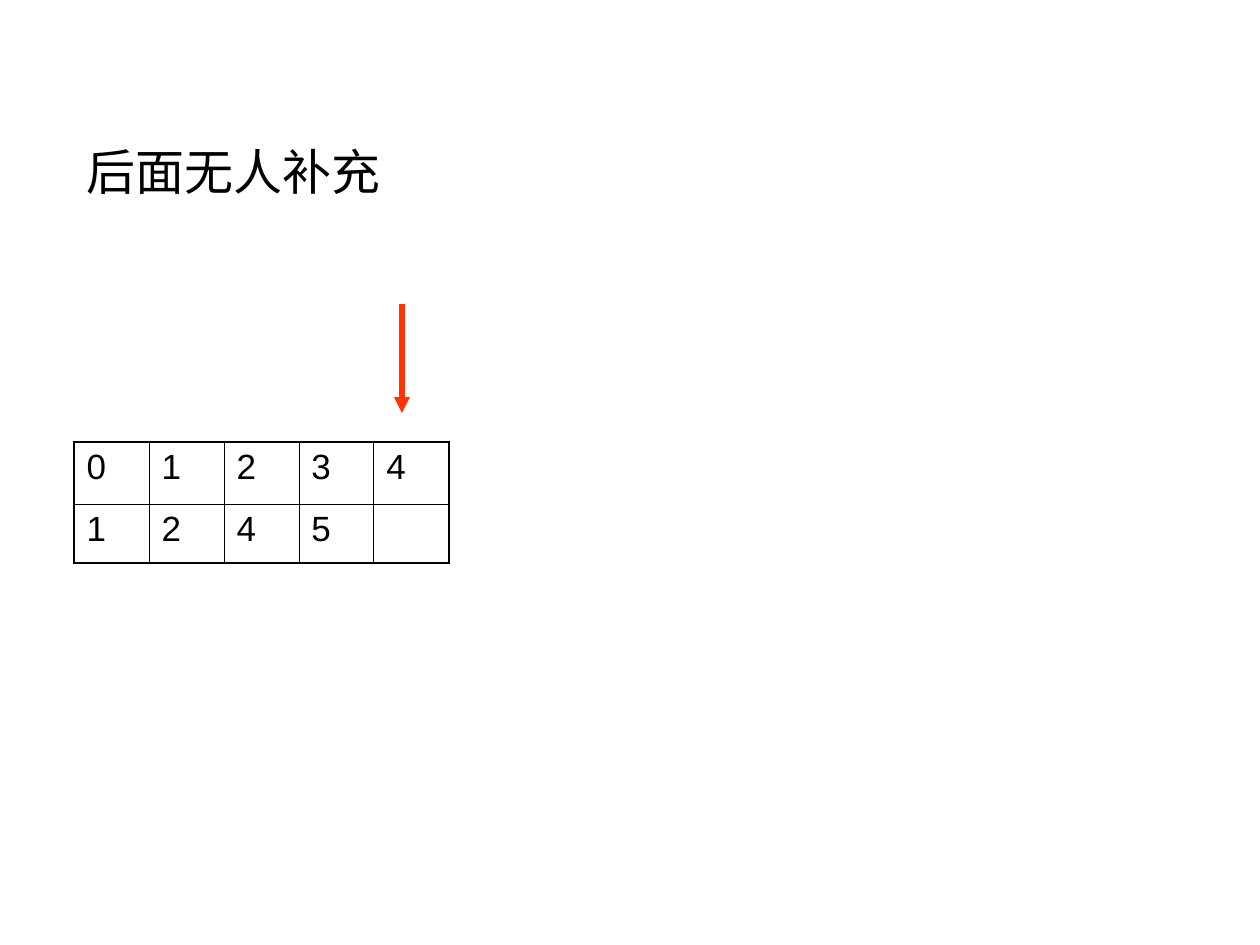
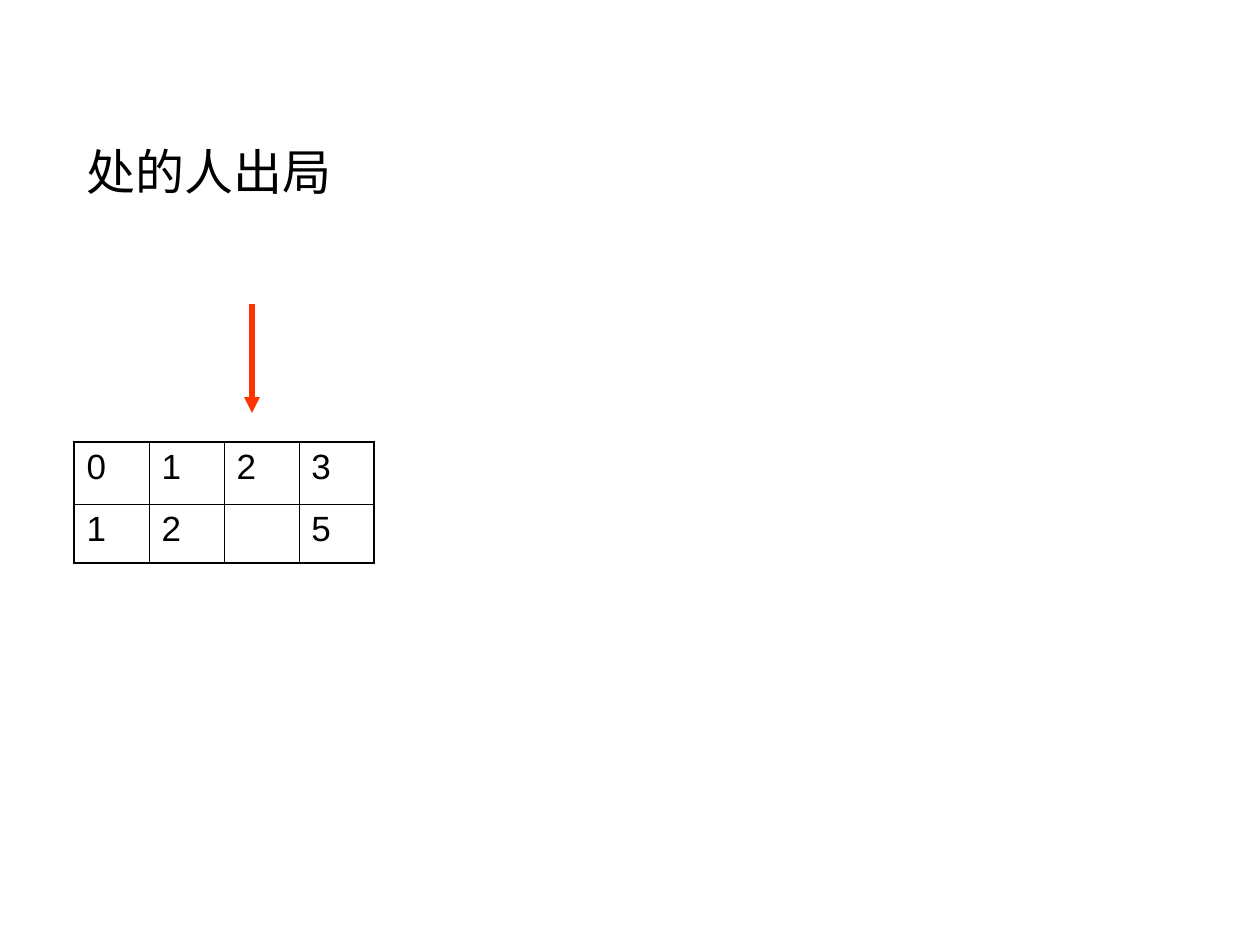
"""Two slides that show how an array changes when a person leaves the circle."""
from lxml.etree import SubElement
from pptx import Presentation
from pptx.dml.color import RGBColor
from pptx.enum.shapes import MSO_CONNECTOR
from pptx.enum.text import MSO_ANCHOR, PP_ALIGN
from pptx.oxml.ns import qn
from pptx.util import Emu, Pt

STEPS = [
    {"title": "后面无人补充", "people": ["1", "2", "4", "5", ""], "mark": 4},
    {"title": "处的人出局", "people": ["1", "2", "", "5"], "mark": 2},
]

BLACK = RGBColor(0x00, 0x00, 0x00)
RED = RGBColor(0xFF, 0x33, 0x00)
FONT = "Arial"
THIN, THICK = Pt(0.45), Pt(1.08)

LEFT = 74
TITLE = (LEFT, 96, 1071, 149)
GRID_TOP, COL = 442, 75
ROWS = (62, 59)
ARROW_TOP, ARROW_END, ARROW_IN = 304, 413, 28


def px(n):
    return Emu(n * 914400 // 126)


def write(frame, text, size=20, color=BLACK, align=PP_ALIGN.LEFT):
    para = frame.paragraphs[0]
    para.alignment = align
    font = para.font
    font.name, font.size = FONT, Pt(size)
    font.color.rgb = color
    if text:
        para.add_run().text = text


def add_title(slide, text):
    title = slide.shapes.title
    title.left, title.top, title.width, title.height = map(px, TITLE)
    frame = title.text_frame
    frame.word_wrap = True
    frame.vertical_anchor = MSO_ANCHOR.MIDDLE
    write(frame, text, size=28)


def add_edges(cell, **edges):
    props = cell._tc.get_or_add_tcPr()
    for side, width in edges.items():
        line = SubElement(props, qn(f"a:ln{side}"), w=str(width))
        fill = SubElement(line, qn("a:solidFill"))
        SubElement(fill, qn("a:srgbClr"), val=str(BLACK))


def add_grid(slide, people):
    count = len(people)
    rows = [[str(i) for i in range(count)], people]
    frame = slide.shapes.add_table(
        len(rows), count, px(LEFT), px(GRID_TOP), px(COL * count), px(sum(ROWS)))
    table = frame.table
    table.first_row = table.horz_banding = False
    for col in table.columns:
        col.width = px(COL)
    for r, row in enumerate(rows):
        table.rows[r].height = px(ROWS[r])
        for c, text in enumerate(row):
            cell = table.cell(r, c)
            add_edges(
                cell,
                L=THICK if c == 0 else THIN,
                R=THICK if c == count - 1 else THIN,
                T=THICK if r == 0 else THIN,
                B=THICK if r == len(rows) - 1 else THIN)
            cell.fill.background()
            write(cell.text_frame, text)


def add_arrow(slide, mark):
    x = px(LEFT + COL * mark + ARROW_IN)
    arrow = slide.shapes.add_connector(
        MSO_CONNECTOR.STRAIGHT, x, px(ARROW_TOP), x, px(ARROW_END))
    arrow.line.color.rgb = RED
    arrow.line.width = Pt(3)
    SubElement(arrow.line._get_or_add_ln(), qn("a:tailEnd"), type="triangle")
    SubElement(arrow._element.spPr, qn("a:effectLst"))


def main():
    deck = Presentation()
    deck.slide_width, deck.slide_height = px(1260), px(945)
    for step in STEPS:
        slide = deck.slides.add_slide(deck.slide_layouts[5])
        add_title(slide, step["title"])
        add_grid(slide, step["people"])
        add_arrow(slide, step["mark"])
    deck.save("out.pptx")


if __name__ == "__main__":
    main()
